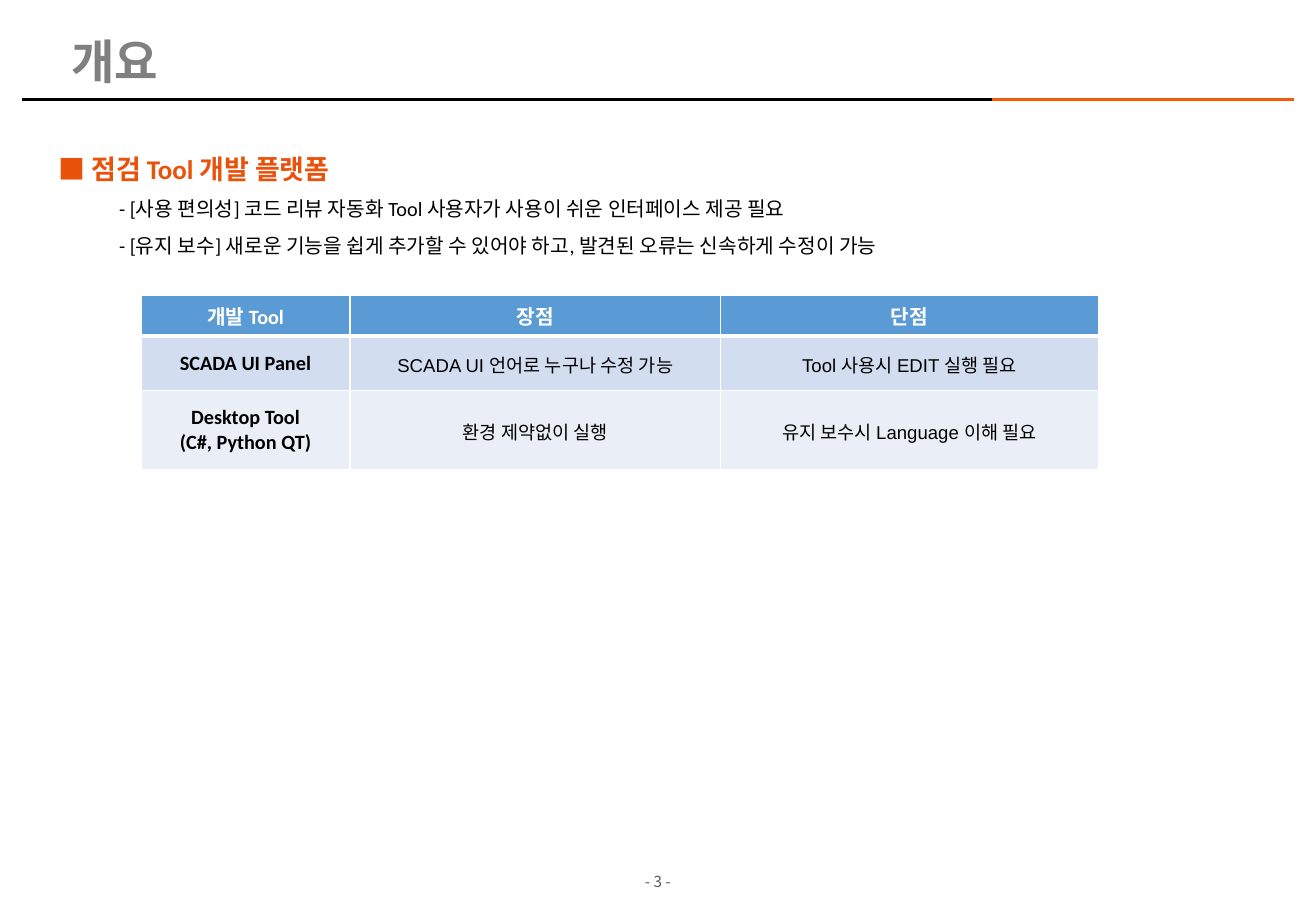
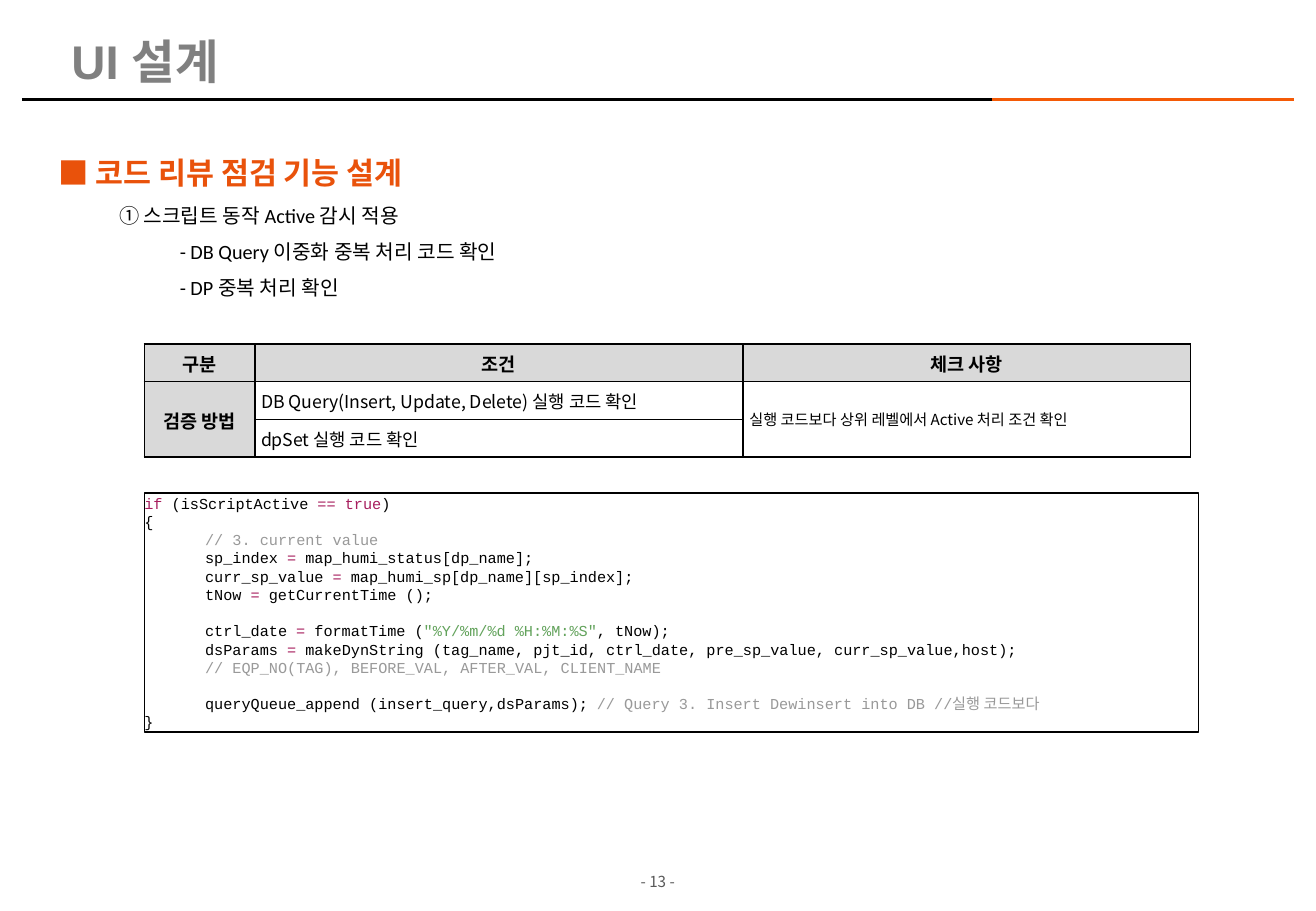
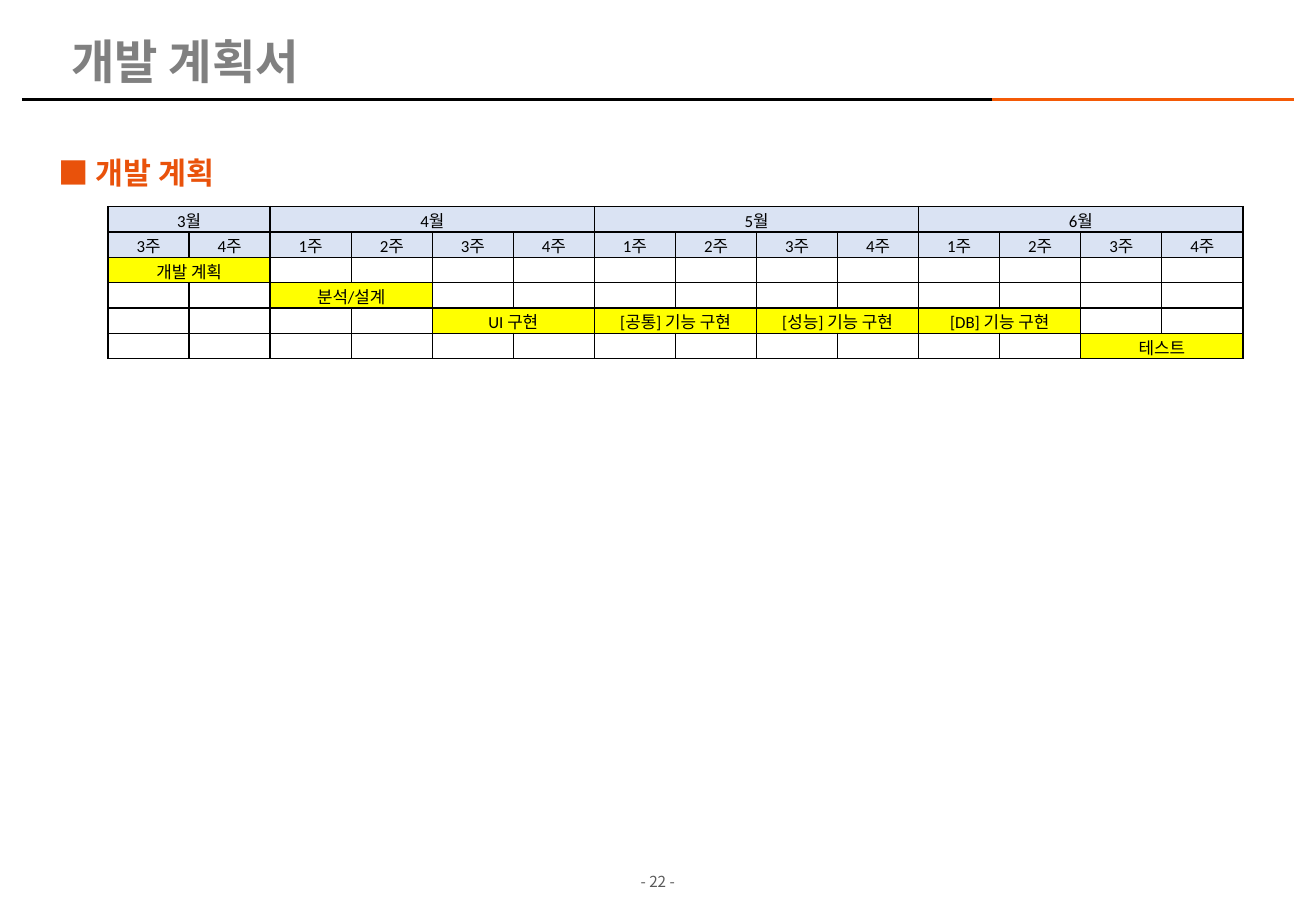
import lxml.etree
import pptx
import pptx.dml.color
import pptx.enum.shapes
import pptx.enum.text
import pptx.oxml.ns
import pptx.util

Cm = pptx.util.Cm
Pt = pptx.util.Pt
RGBColor = pptx.dml.color.RGBColor
Align = pptx.enum.text.PP_ALIGN
Anchor = pptx.enum.text.MSO_ANCHOR
qn = pptx.oxml.ns.qn

BLACK = RGBColor(0x00, 0x00, 0x00)
WHITE = RGBColor(0xFF, 0xFF, 0xFF)
TITLE_GRAY = RGBColor(0x80, 0x80, 0x80)
FOOTER_GRAY = RGBColor(0x59, 0x59, 0x59)
RULE_ORANGE = RGBColor(0xF4, 0x5A, 0x06)
HEADING_ORANGE = RGBColor(0xE9, 0x52, 0x0B)
HEADER_BLUE = RGBColor(0x5B, 0x9B, 0xD5)
BAND_DARK = RGBColor(0xD2, 0xDE, 0xEF)
BAND_LIGHT = RGBColor(0xEA, 0xEF, 0xF7)
HEADER_GRAY = RGBColor(0xD9, 0xD9, 0xD9)
CALENDAR_BLUE = RGBColor(0xDA, 0xE3, 0xF3)
TASK_YELLOW = RGBColor(0xFF, 0xFF, 0x00)
CODE_BLACK = RGBColor(0x01, 0x01, 0x01)
CODE_RED = RGBColor(0xA7, 0x1D, 0x5D)
CODE_GRAY = RGBColor(0x99, 0x99, 0x99)
CODE_GREEN = RGBColor(0x63, 0xA3, 0x5C)

KOREAN = "Noto Sans CJK KR"
LATIN = "Calibri"
ROOMY = (0.25, 0.13, 0.25, 0.13)
SNUG = (0.13, 0.13, 0.13, 0.13)
TIGHT = (0.03, 0.03, 0.03, 0)
INDENT = 1.27


class Report:
    """Hold the deck style and the page being filled."""

    def __init__(self):
        self.deck = pptx.Presentation()
        self.deck.slide_width = Cm(27.52)
        self.deck.slide_height = Cm(19.05)
        self.page = None

    def start_page(self, title, number):
        self.page = self.deck.slides.add_slide(self.deck.slide_layouts[5])
        self.rule(0.46, 25.45, BLACK)
        self.rule(20.75, 27.05, RULE_ORANGE)
        box = self.page.shapes.title
        box.left, box.top, box.width, box.height = Cm(1.24), Cm(0.64), Cm(19.05), Cm(1.4)
        frame = box.text_frame
        frame.auto_size = pptx.enum.text.MSO_AUTO_SIZE.NONE
        frame.vertical_anchor = Anchor.MIDDLE
        para = frame.paragraphs[0]
        para.alignment = Align.LEFT
        para.line_spacing = 0.9
        self.span(para, title, 28, TITLE_GRAY, "Arial", True)
        para = self.text_box(12.75, 18.11, 2.01, 0.71).paragraphs[0]
        para.alignment = Align.CENTER
        self.span(para, f"- {number} -", 9, FOOTER_GRAY, KOREAN)

    def rule(self, start, end, color):
        line = self.page.shapes.add_connector(
            pptx.enum.shapes.MSO_CONNECTOR.STRAIGHT, Cm(start), Cm(2.08), Cm(end), Cm(2.08))
        line.line.color.rgb = color
        line.line.width = Pt(2.25)
        lxml.etree.SubElement(line._element.spPr, qn("a:effectLst"))

    def text_box(self, left, top, width, height):
        box = self.page.shapes.add_textbox(Cm(left), Cm(top), Cm(width), Cm(height))
        box.text_frame.word_wrap = True
        return box.text_frame

    def span(self, para, text, size, color=BLACK, font=LATIN, bold=False):
        run = para.add_run()
        run.text = text
        run.font.size = Pt(size)
        run.font.color.rgb = color
        run.font.name = font
        run.font.bold = bold
        east_asian = lxml.etree.Element(qn("a:ea"), typeface=KOREAN)
        run._r.rPr.find(qn("a:latin")).addnext(east_asian)

    def indent(self, para, level):
        settings = para._p.get_or_add_pPr()
        settings.set("marL", str(Cm(INDENT * level)))
        settings.set("indent", "0")

    def outline(self, heading, size, height, items=()):
        frame = self.text_box(0.97, 2.72, 25.96, height)
        para = frame.paragraphs[0]
        para.line_spacing = Pt(size * 1.8)
        self.span(para, f"■ {heading}", size, HEADING_ORANGE, bold=True)
        for level, text in items:
            para = frame.add_paragraph()
            para.line_spacing = Pt(21.6)
            self.indent(para, level)
            self.span(para, text, 12)

    def table(self, left, top, widths, heights, line_color):
        table = self.page.shapes.add_table(
            len(heights), len(widths), Cm(left), Cm(top), Cm(sum(widths)), Cm(sum(heights))).table
        table.first_row = table.horz_banding = False
        for column, width in zip(table.columns, widths):
            column.width = Cm(width)
        for row, height in zip(table.rows, heights):
            row.height = Cm(height)
        for cell in table.iter_cells():
            for edge in "LRTB":
                self.border(cell, edge, line_color, 1)
            cell.fill.background()
            self.insets(cell, TIGHT)
            lxml.etree.SubElement(cell.text_frame.paragraphs[0]._p, qn("a:endParaRPr"), sz="1000")
        return table

    def border(self, cell, edge, color, width):
        line = lxml.etree.SubElement(
            cell._tc.get_or_add_tcPr(), qn(f"a:ln{edge}"), w=str(Pt(width)))
        fill = lxml.etree.SubElement(line, qn("a:solidFill"))
        lxml.etree.SubElement(fill, qn("a:srgbClr"), val=str(color))

    def insets(self, cell, insets):
        cell.margin_left, cell.margin_top, cell.margin_right, cell.margin_bottom = map(Cm, insets)

    def fill_cell(self, cell, text, size, fill=None, color=BLACK, font=LATIN, bold=False,
                  align=Align.CENTER, insets=TIGHT):
        if fill is not None:
            cell.fill.solid()
            cell.fill.fore_color.rgb = fill
        cell.vertical_anchor = Anchor.MIDDLE
        self.insets(cell, insets)
        for index, line in enumerate(text.split("\n")):
            frame = cell.text_frame
            para = frame.add_paragraph() if index else frame.paragraphs[0]
            para.alignment = align
            self.span(para, line, size, color, font, bold)

    def code(self, left, top, width, height, lines):
        box = self.page.shapes.add_shape(
            pptx.enum.shapes.MSO_SHAPE.RECTANGLE, Cm(left), Cm(top), Cm(width), Cm(height))
        box.shadow.inherit = False
        box.fill.solid()
        box.fill.fore_color.rgb = WHITE
        box.line.color.rgb = BLACK
        box.line.width = Pt(0.75)
        frame = box.text_frame
        frame.word_wrap = True
        frame.vertical_anchor = Anchor.MIDDLE
        frame.margin_left = frame.margin_top = frame.margin_right = frame.margin_bottom = 0
        for index, (level, blank_before, spans) in enumerate(lines):
            para = frame.add_paragraph() if index else frame.paragraphs[0]
            para.alignment = Align.LEFT
            para.line_spacing = Pt(10.8)
            para.space_before = Pt(10.8 * blank_before)
            self.indent(para, level)
            for text, color in spans:
                self.span(para, text, 9, color, "Courier New")


def assignment(name, *value):
    return [(f"{name} ", CODE_BLACK), ("= ", CODE_RED), *value]


def platform_page(report):
    report.start_page("개요", 3)
    report.outline("점검 Tool 개발 플랫폼", 16, 2.74, [
        (1, "- [사용 편의성] 코드 리뷰 자동화 Tool 사용자가 사용이 쉬운 인터페이스 제공 필요"),
        (1, "- [유지 보수] 새로운 기능을 쉽게 추가할 수 있어야 하고, 발견된 오류는 신속하게 수정이 가능"),
    ])
    table = report.table(2.95, 6.17, [4.37, 7.75, 7.9], [0.86, 1.14, 1.65], WHITE)
    for column, text in enumerate(["개발 Tool", "장점", "단점"]):
        report.fill_cell(table.cell(0, column), text, 12, HEADER_BLUE, WHITE,
                         bold=True, insets=ROOMY)
        for row, edge in ((0, "B"), (1, "T")):
            line = table.cell(row, column)._tc.tcPr.find(qn(f"a:ln{edge}"))
            line.set("w", str(Pt(3)))
    tools = [
        (BAND_DARK, "SCADA UI Panel", "SCADA UI 언어로 누구나 수정 가능", "Tool 사용시 EDIT 실행 필요"),
        (BAND_LIGHT, "Desktop Tool\n(C#, Python QT)", "환경 제약없이 실행",
         "유지 보수시 Language 이해 필요"),
    ]
    for row, (band, tool, *remarks) in enumerate(tools, 1):
        report.fill_cell(table.cell(row, 0), tool, 12, band, bold=True, insets=ROOMY)
        for column, remark in enumerate(remarks, 1):
            report.fill_cell(table.cell(row, column), remark, 11, band, font="Arial")


def review_page(report):
    report.start_page("UI 설계", 13)
    report.outline("코드 리뷰 점검 기능 설계", 18, 3.71, [
        (1, "① 스크립트 동작 Active 감시 적용"),
        (2, "- DB Query 이중화 중복 처리 코드 확인"),
        (2, "- DP 중복 처리 확인"),
    ])
    table = report.table(3.02, 7.19, [2.31, 10.21, 9.35], [0.79] * 3, BLACK)
    for column in (0, 2):
        table.cell(1, column).merge(table.cell(2, column))
    headers = [(0, 0, "구분"), (0, 1, "조건"), (0, 2, "체크 사항"), (1, 0, "검증 방법")]
    for row, column, text in headers:
        report.fill_cell(table.cell(row, column), text, 11, HEADER_GRAY, font=KOREAN, bold=True)
    checks = [
        (1, 1, "DB Query(Insert, Update, Delete) 실행 코드 확인", 10.5),
        (2, 1, "dpSet 실행 코드 확인", 10.5),
        (1, 2, "실행 코드보다 상위 레벨에서 Active 처리 조건 확인", 9),
    ]
    for row, column, text, size in checks:
        report.fill_cell(table.cell(row, column), text, size, font=KOREAN,
                         align=Align.LEFT, insets=SNUG)
    report.code(3.02, 10.31, 22.05, 5, [
        (0, 0, [("if", CODE_RED), (" (isScriptActive ", CODE_BLACK),
                ("== true", CODE_RED), (")", CODE_BLACK)]),
        (0, 0, [("{", CODE_BLACK)]),
        (1, 0, [("// 3. current value", CODE_GRAY)]),
        (1, 0, assignment("sp_index", ("map_humi_status[dp_name];", CODE_BLACK))),
        (1, 0, assignment("curr_sp_value", ("map_humi_sp[dp_name][sp_index];", CODE_BLACK))),
        (1, 0, assignment("tNow", ("getCurrentTime ();", CODE_BLACK))),
        (1, 1, assignment("ctrl_date", ("formatTime (", CODE_BLACK),
                          ('"%Y/%m/%d %H:%M:%S"', CODE_GREEN), (", tNow);", CODE_BLACK))),
        (1, 0, assignment("dsParams", (
            "makeDynString (tag_name, pjt_id, ctrl_date, pre_sp_value, curr_sp_value,host);",
            CODE_BLACK))),
        (1, 0, [("// EQP_NO(TAG), BEFORE_VAL, AFTER_VAL, CLIENT_NAME", CODE_GRAY)]),
        (1, 1, [("queryQueue_append (insert_query,dsParams); ", CODE_BLACK),
                ("// Query 3. Insert Dewinsert into DB //실행 코드보다", CODE_GRAY)]),
        (0, 0, [("}", CODE_BLACK)]),
    ])


def schedule_page(report):
    report.start_page("개발 계획서", 22)
    report.outline("개발 계획", 18, 1.42)
    table = report.table(2.26, 4.32, [23.73 / 14] * 14, [0.53] * 6, BLACK)
    bars = [(0, 0, 2, "3월", CALENDAR_BLUE)]
    bars += [(0, 2 + 4 * index, 4, f"{4 + index}월", CALENDAR_BLUE) for index in range(3)]
    bars += [(1, week, 1, f"{(week + 2) % 4 + 1}주", CALENDAR_BLUE) for week in range(14)]
    tasks = [(2, "개발 계획"), (3, "분석/설계"), (4, "UI 구현"), (4, "[공통] 기능 구현"),
             (4, "[성능] 기능 구현"), (4, "[DB] 기능 구현"), (5, "테스트")]
    bars += [(row, 2 * index, 2, text, TASK_YELLOW) for index, (row, text) in enumerate(tasks)]
    for row, column, length, text, fill in bars:
        cell = table.cell(row, column)
        if length > 1:
            cell.merge(table.cell(row, column + length - 1))
        report.fill_cell(cell, text, 10, fill)


def main():
    report = Report()
    platform_page(report)
    review_page(report)
    schedule_page(report)
    report.deck.save("out.pptx")


if __name__ == "__main__":
    main()
